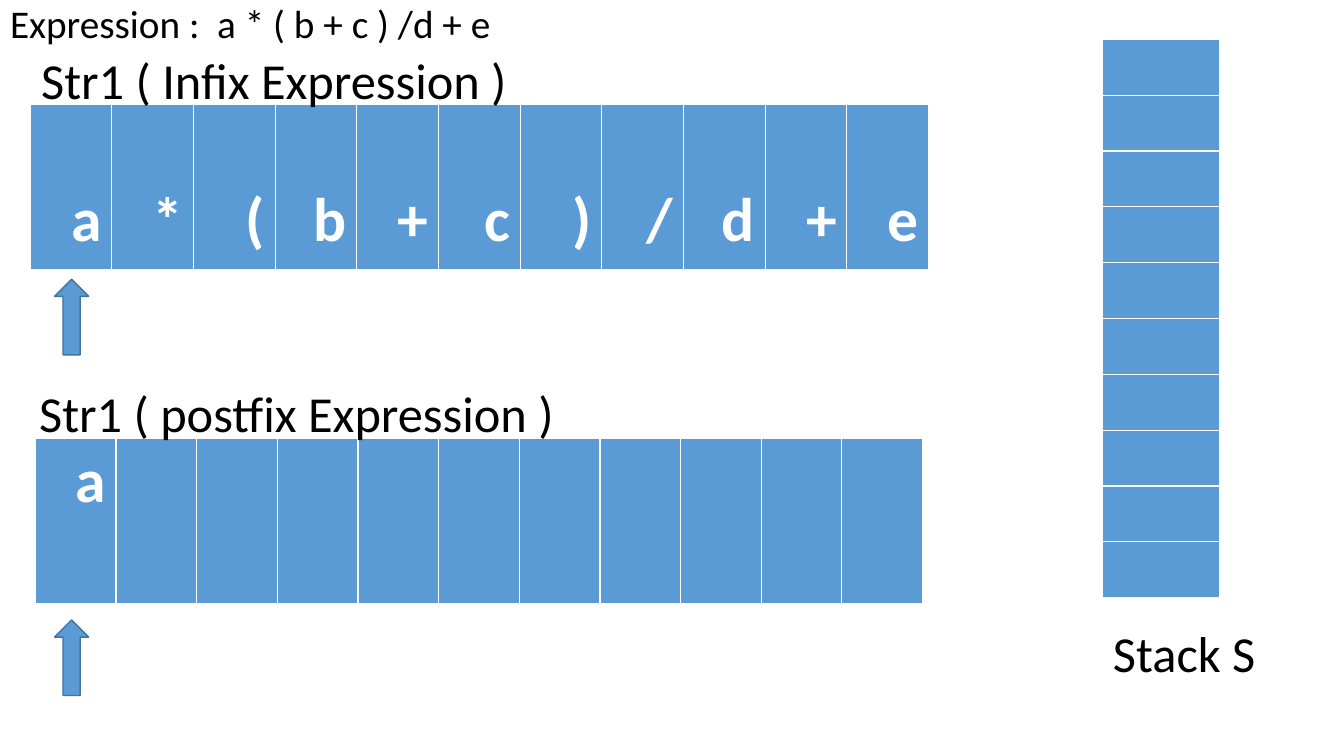
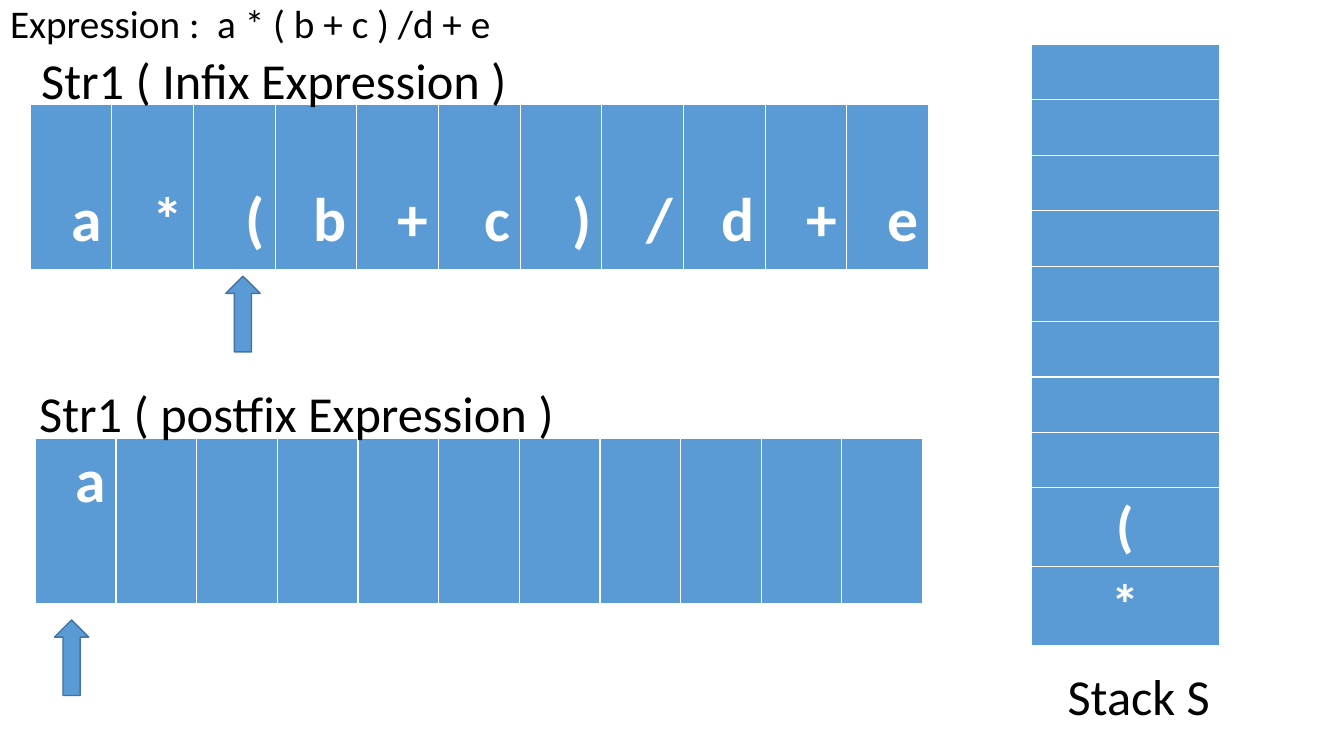
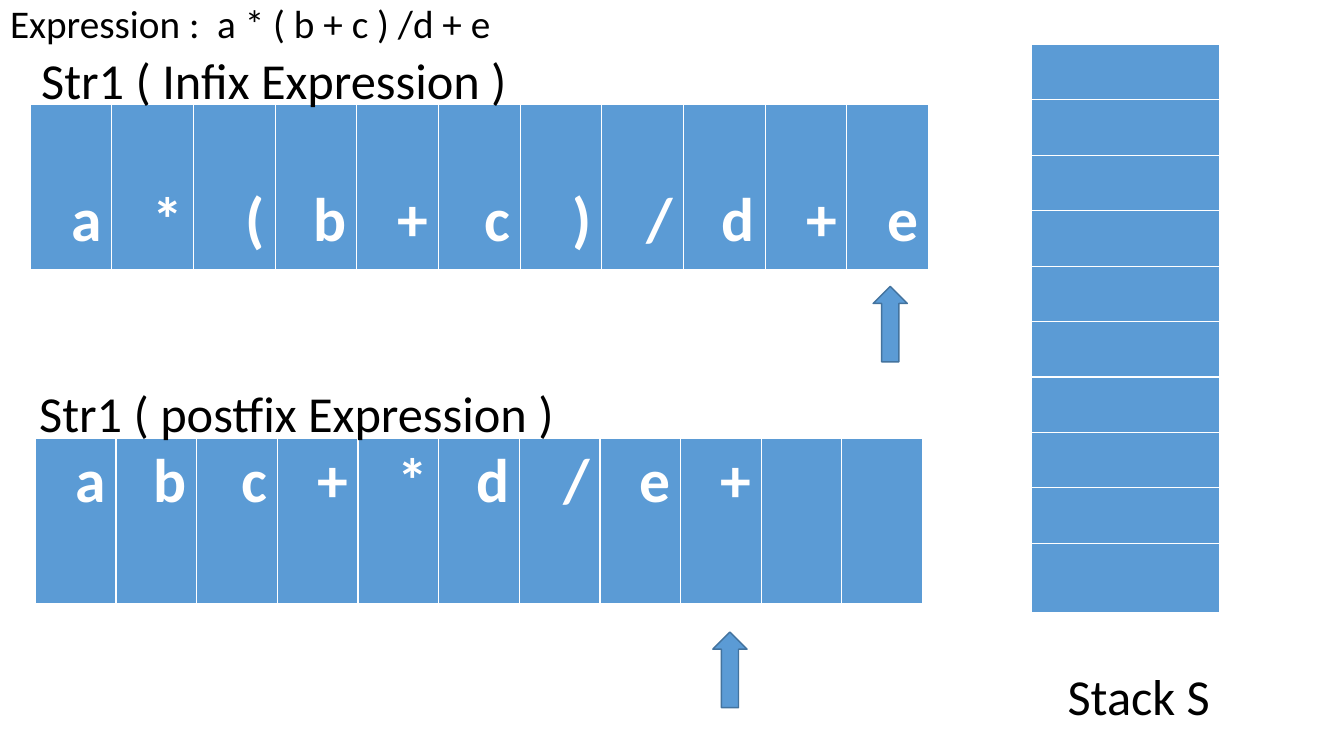
from pptx import Presentation
from pptx.dml.color import RGBColor
from pptx.enum.shapes import MSO_SHAPE as SHAPE
from pptx.enum.text import MSO_ANCHOR as ANCHOR, MSO_AUTO_SIZE as AUTO, PP_ALIGN as ALIGN
from pptx.util import Inches, Pt

COLORS = {"cell": "5B9BD5", "edge": "43739E", "light": "FFFFFF", "dark": "000000"}
FONT = "Calibri"
WIDTH, HEIGHT = 13.33, 7.5
SLOTS = 11
STACK_SIZE = 10

TITLE = "Expression :  a * ( b + c ) /d + e"
INFIX = "a*(b+c)/d+e"
LABELS = [
    ("Str1 ( Infix Expression )", 0.31, 0.44, 8.35),
    ("Str1 ( postfix Expression )", 0.29, 3.74, 8.35),
]
STEPS = [
    {
        "postfix": "a",
        "stack": "",
        "stack_at": (10.93, 0.39, 1.17),
        "stack_rows": [5.54 / STACK_SIZE] * STACK_SIZE,
        "stack_label": ("Stack S", 10.94, 6.12, 2.01),
        "arrows": [(0.54, 2.77), (0.54, 6.15)],
    },
    {
        "postfix": "a",
        "stack": "(*",
        "stack_at": (10.23, 0.44, 1.87),
        "stack_rows": [0.55] * 8 + [0.78] * 2,
        "stack_label": ("Stack S", 10.49, 6.55, 2.01),
        "arrows": [(2.24, 2.74), (0.54, 6.15)],
    },
    {
        "postfix": "abc+*d/e+",
        "stack": "",
        "stack_at": (10.23, 0.44, 1.87),
        "stack_rows": [0.55] * 9 + [0.69],
        "stack_label": ("Stack S", 10.49, 6.55, 2.01),
        "arrows": [(8.66, 2.84), (7.07, 6.27)],
    },
]


def rgb(name):
    return RGBColor.from_string(COLORS[name])


def write(tf, text, size, color="dark", bold=False, align=ALIGN.LEFT):
    p = tf.paragraphs[0]
    p.alignment = align
    r = p.add_run()
    r.text = text
    r.font.name = FONT
    r.font.size = Pt(size)
    r.font.bold = bold
    r.font.color.rgb = rgb(color)
    return p


def add_title(s):
    title = s.shapes.title
    title.left = title.top = 0
    title.width, title.height = Inches(WIDTH), Inches(0.5)
    tf = title.text_frame
    tf.auto_size = AUTO.NONE
    tf.vertical_anchor = ANCHOR.TOP
    write(tf, TITLE, 28).line_spacing = 0.9


def add_label(s, text, left, top, width):
    box = s.shapes.add_textbox(Inches(left), Inches(top), Inches(width), Inches(0.71))
    box.text_frame.word_wrap = True
    write(box.text_frame, text, 36)


def add_cells(s, left, top, widths, heights, symbols, size, align, anchor=ANCHOR.TOP):
    table = s.shapes.add_table(
        len(heights), len(widths), Inches(left), Inches(top),
        Inches(sum(widths)), Inches(sum(heights))).table
    table.horz_banding = False
    for column, width in zip(table.columns, widths):
        column.width = Inches(width)
    for row, height in zip(table.rows, heights):
        row.height = Inches(height)
    for cell, symbol in zip(table.iter_cells(), symbols):
        cell.fill.solid()
        cell.fill.fore_color.rgb = rgb("cell")
        cell.vertical_anchor = anchor
        if anchor == ANCHOR.BOTTOM:
            cell.margin_bottom = Inches(0.11)
        if symbol.strip():
            write(cell.text_frame, symbol, size, "light", True, align)


def add_arrow(s, left, top):
    arrow = s.shapes.add_shape(
        SHAPE.UP_ARROW, Inches(left), Inches(top), Inches(0.34), Inches(0.75))
    arrow.shadow.inherit = False
    arrow.fill.solid()
    arrow.fill.fore_color.rgb = rgb("cell")
    arrow.line.color.rgb = rgb("edge")
    arrow.line.width = Pt(1)


def add_step(prs, step):
    s = prs.slides.add_slide(prs.slide_layouts[5])
    add_title(s)
    add_cells(s, 0.3, 1.04, [0.81] * SLOTS, [1.63], INFIX, 44, ALIGN.RIGHT, ANCHOR.BOTTOM)
    add_cells(s, 0.35, 4.35, [0.8] * SLOTS, [1.64],
              step["postfix"].ljust(SLOTS), 44, ALIGN.RIGHT)
    left, top, width = step["stack_at"]
    add_cells(s, left, top, [width], step["stack_rows"],
              step["stack"].rjust(STACK_SIZE), 40, ALIGN.CENTER)
    for position in step["arrows"]:
        add_arrow(s, *position)
    for label in LABELS + [step["stack_label"]]:
        add_label(s, *label)


def main():
    prs = Presentation()
    prs.slide_width, prs.slide_height = Inches(WIDTH), Inches(HEIGHT)
    for step in STEPS:
        add_step(prs, step)
    prs.save("out.pptx")


if __name__ == "__main__":
    main()
